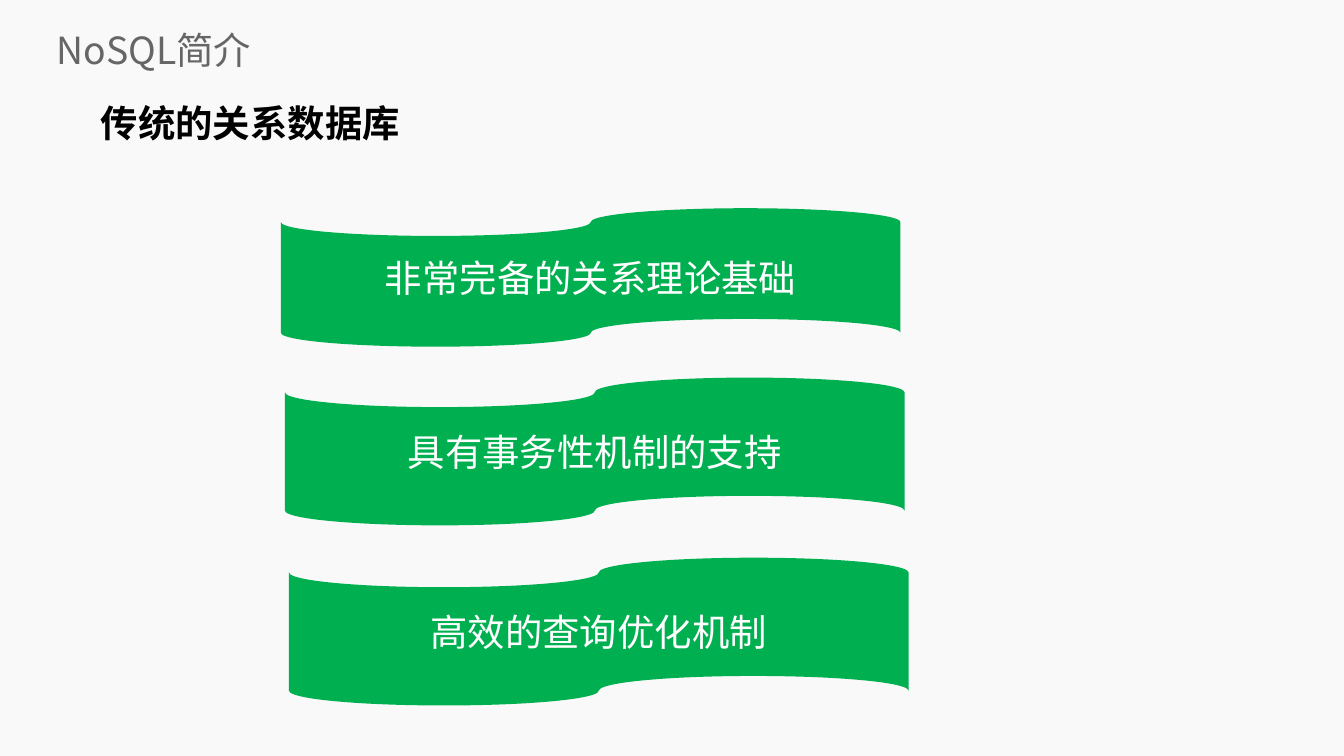
from dataclasses import dataclass

from lxml import etree
from pptx import Presentation
from pptx import util as u
from pptx.dml import color
from pptx.enum import shapes, text
from pptx.oxml import ns


@dataclass(frozen=True)
class Theme:
    background: str = "F9F9F9"
    title: str = "666666"
    heading: str = "000000"
    tape: str = "00B050"
    tape_text: str = "FFFFFF"
    font: str = "Noto Sans CJK SC"
    size: int = 20


def rgb(value):
    return color.RGBColor.from_string(value)


def write_text(frame, words, *, font, size, ink, bold=False,
               align=text.PP_ALIGN.LEFT, anchor=text.MSO_ANCHOR.TOP,
               line_spacing=None):
    frame.word_wrap = True
    frame.vertical_anchor = anchor
    paragraph = frame.paragraphs[0]
    paragraph.alignment = align
    paragraph.line_spacing = line_spacing
    run = paragraph.add_run()
    run.text = words
    run.font.name = font
    run.font.size = u.Pt(size)
    run.font.bold = bold
    run.font.color.rgb = rgb(ink)
    east_asian = etree.SubElement(run.font._element, ns.qn("a:ea"))
    east_asian.set("typeface", font)


class SlideBuilder:
    def __init__(self, slide, theme):
        self.slide = slide
        self.theme = theme
        fill = slide.background.fill
        fill.solid()
        fill.fore_color.rgb = rgb(theme.background)

    def label(self, words, box, ink, **style):
        shape = self.slide.shapes.add_textbox(*map(u.Inches, box))
        frame = shape.text_frame
        frame.margin_left = frame.margin_right = 0
        frame.margin_top = frame.margin_bottom = 0
        write_text(frame, words, font=self.theme.font, size=self.theme.size,
                   ink=ink, **style)

    def tape(self, words, box):
        shape = self.slide.shapes.add_shape(
            shapes.MSO_SHAPE.FLOWCHART_PUNCHED_TAPE, *map(u.Inches, box))
        shape.shadow.inherit = False
        shape.fill.solid()
        shape.fill.fore_color.rgb = rgb(self.theme.tape)
        shape.line.fill.background()
        write_text(shape.text_frame, words, font=self.theme.font,
                   size=self.theme.size, ink=self.theme.tape_text,
                   align=text.PP_ALIGN.CENTER, anchor=text.MSO_ANCHOR.MIDDLE)


def main():
    presentation = Presentation()
    presentation.slide_width = u.Inches(10)
    presentation.slide_height = u.Inches(10 * 9 / 16)
    slide = presentation.slides.add_slide(presentation.slide_layouts[6])
    theme = Theme()
    builder = SlideBuilder(slide, theme)

    builder.label("NoSQL简介", (0.42, 0.18, 9.43, 0.38), theme.title,
                  anchor=text.MSO_ANCHOR.MIDDLE)
    builder.label("传统的关系数据库", (0.75, 0.61, 7.49, 0.55), theme.heading,
                  bold=True, line_spacing=1.4)

    strengths = [
        ("非常完备的关系理论基础", 1.55, 1.03),
        ("具有事务性机制的支持", 2.81, 1.1),
        ("高效的查询优化机制", 4.15, 1.1),
    ]
    for index, (words, top, height) in enumerate(strengths):
        builder.tape(words, (2.09 + 0.03 * index, top, 4.61, height))

    presentation.save("out.pptx")


if __name__ == "__main__":
    main()
